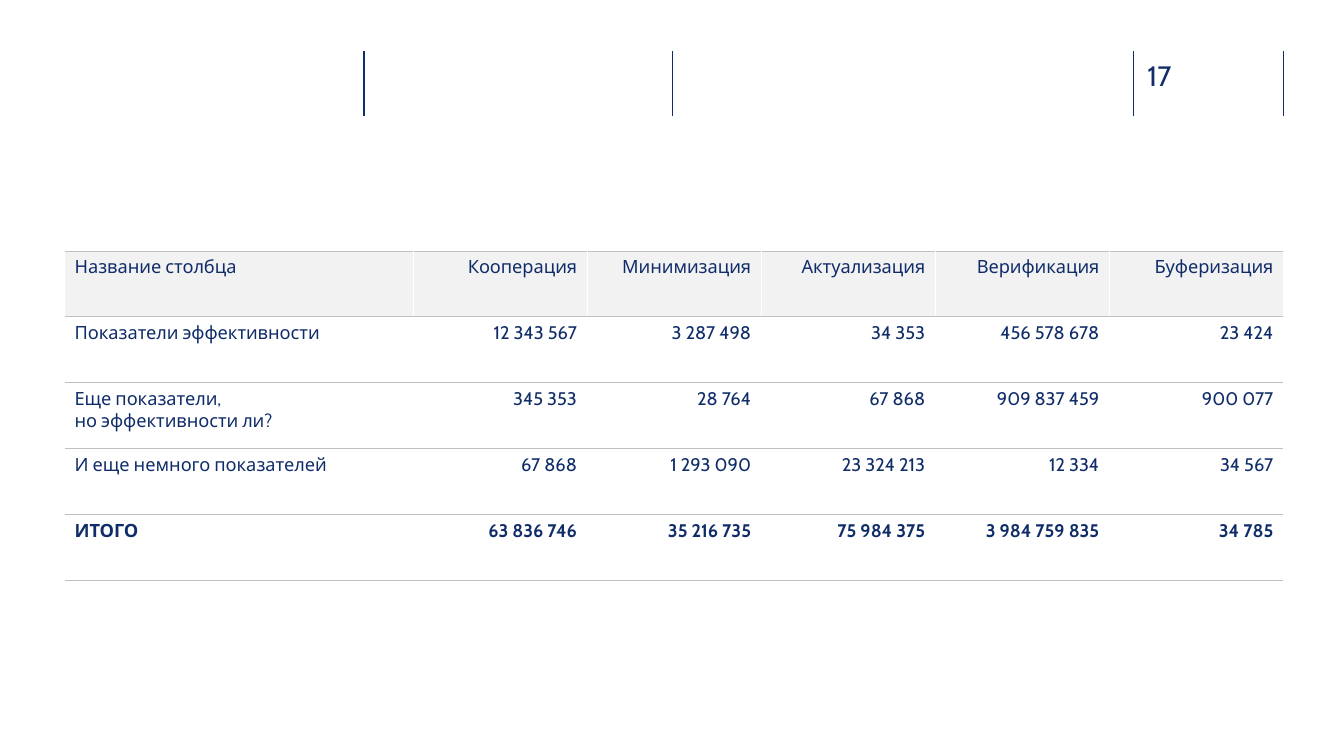
from lxml import etree
from pptx import Presentation
from pptx.dml.color import RGBColor
from pptx.enum.shapes import MSO_CONNECTOR
from pptx.enum.text import PP_ALIGN
from pptx.oxml.ns import qn
from pptx.util import Inches, Pt

NAVY, GREY, PALE, WHITE = "102D69", "BFBFBF", "F2F2F2", "FFFFFF"
FONT = "Cabin"
LEFT, WIDTH = 0.64, 12.09
DIVIDERS = (3.61, 6.67, 11.24, LEFT + WIDTH)
COLUMN_SHARES = (2, 1, 1, 1, 1, 1)
ROWS = (
    ("Название столбца", "Кооперация", "Минимизация", "Актуализация", "Верификация", "Буферизация"),
    ("Показатели эффективности", "12 343 567", "3 287 498", "34 353", "456 578 678", "23 424"),
    ("Еще показатели,\nно эффективности ли?", "345 353", "28 764", "67 868", "909 837 459", "900 077"),
    ("И еще немного показателей", "67 868", "1 293 090", "23 324 213", "12 334", "34 567"),
    ("ИТОГО", "63 836 746", "35 216 735", "75 984 375", "3 984 759 835", "34 785"),
)


def rgb(color):
    return RGBColor.from_string(color)


def write(tf, text, size, bold=False, align=PP_ALIGN.LEFT):
    p = tf.paragraphs[0]
    p.text = text.replace("\n", "\v")
    p.alignment = align
    for r in p.runs:
        r.font.name = FONT
        r.font.size = Pt(size)
        r.font.bold = bold
        r.font.color.rgb = rgb(NAVY)


def set_borders(cell, sides):
    """Draw the given (side, colour, points) borders, in L, R, T, B order."""
    tc_pr = cell._tc.get_or_add_tcPr()
    for i, (side, color, points) in enumerate(sides):
        ln = etree.Element(qn(f"a:ln{side}"), w=str(Pt(points)))
        if color:
            fill = etree.SubElement(ln, qn("a:solidFill"))
            etree.SubElement(fill, qn("a:srgbClr"), val=color)
        else:
            etree.SubElement(ln, qn("a:noFill"))
        tc_pr.insert(i, ln)


def add_header(slide, top, height, number):
    for x in DIVIDERS:
        line = slide.shapes.add_connector(
            MSO_CONNECTOR.STRAIGHT, Inches(x), Inches(top), Inches(x), Inches(top + height))
        line.line.color.rgb = rgb(NAVY)
        line.line.width = Pt(1)
        etree.SubElement(line._element.spPr, qn("a:effectLst"))
    box = slide.shapes.add_textbox(
        Inches(DIVIDERS[2] + 0.14), Inches(top + 0.07), Inches(0.73), Inches(0.34))
    tf = box.text_frame
    tf.word_wrap = True
    tf.margin_left = tf.margin_top = tf.margin_right = tf.margin_bottom = 0
    write(tf, number, 20)


def add_figures(slide, left, top, width, height):
    frame = slide.shapes.add_table(
        len(ROWS), len(COLUMN_SHARES), Inches(left), Inches(top), Inches(width), Inches(height))
    table = frame.table
    table.first_row = table.horz_banding = False
    for column, share in zip(table.columns, COLUMN_SHARES):
        column.width = Inches(width * share / sum(COLUMN_SHARES))
    last_row, last_column = len(ROWS) - 1, len(COLUMN_SHARES) - 1
    for i, row in enumerate(ROWS):
        for j, text in enumerate(row):
            cell = table.cell(i, j)
            write(cell.text_frame, text, 13, bold=i == last_row,
                  align=PP_ALIGN.RIGHT if j else PP_ALIGN.LEFT)
            if i == 0:
                cell.fill.solid()
                cell.fill.fore_color.rgb = rgb(PALE)
            else:
                cell.fill.background()
            set_borders(cell, (
                ("L", WHITE if j else None, 0.25),
                ("R", WHITE if j < last_column else None, 0.25),
                ("T", GREY, 0.75),
                ("B", GREY, 0.75)))


def main():
    prs = Presentation()
    prs.slide_width, prs.slide_height = Inches(13.33), Inches(7.5)
    slide = prs.slides.add_slide(prs.slide_layouts.get_by_name("Blank"))
    add_header(slide, 0.51, 0.64, "17")
    add_figures(slide, LEFT, 2.49, WIDTH, 3.27)
    prs.save("out.pptx")


if __name__ == "__main__":
    main()
